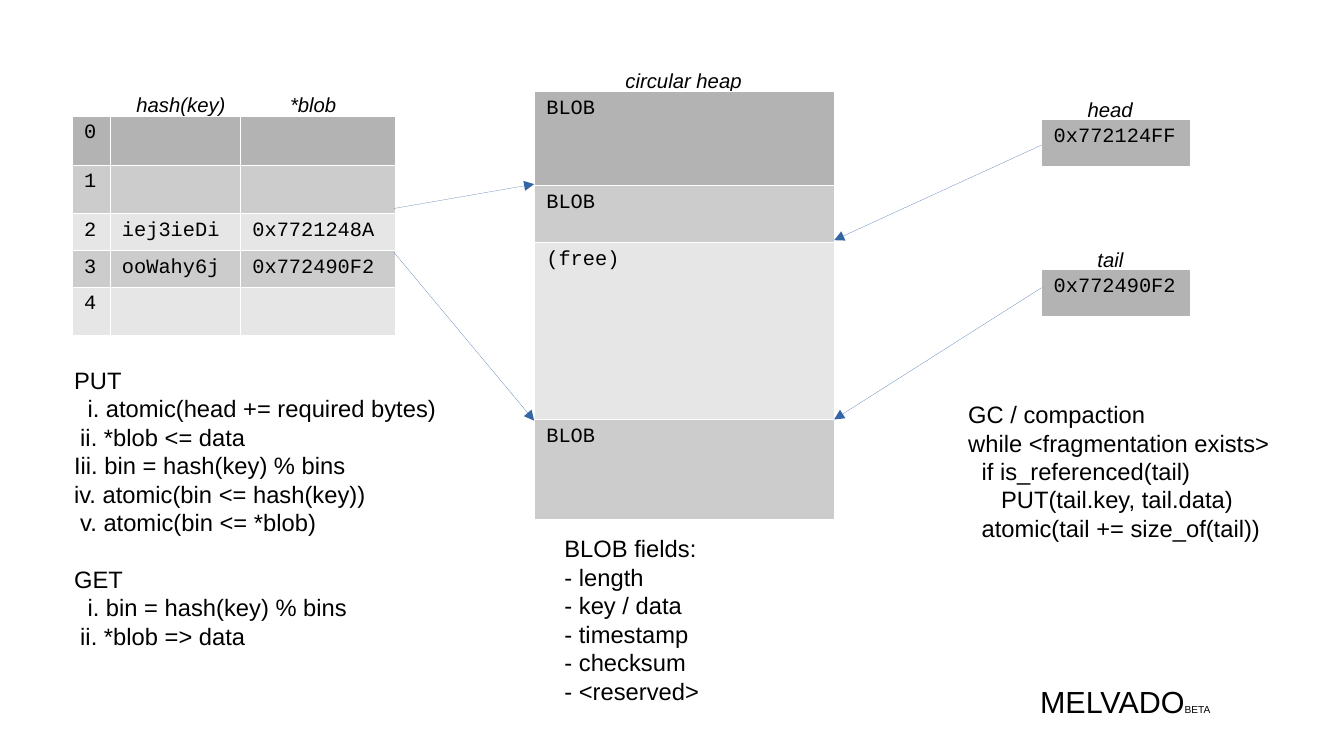
from lxml import etree
from pptx import Presentation
from pptx import util as u
from pptx.dml.color import RGBColor
from pptx.enum import shapes, text
from pptx.oxml.ns import qn

PX = 9144  # EMU in one px, at 100 px to the inch
DARK, MID, PALE = "B3B3B3", "CCCCCC", "E6E6E6"
BLACK, WHITE, BLUE = "000000", "FFFFFF", "3465A4"
HAIR = 720  # EMU


def px(n):
    return u.Emu(n * PX)


def rgb(code):
    return RGBColor.from_string(code)


def add_run(para, words, size, face="Arial", slant=False):
    run = para.add_run()
    run.text = words
    font = run.font
    font.size, font.name = u.Pt(size), face
    font.color.rgb = rgb(BLACK)
    if slant:
        font.italic = True


def add_box(slide, box, wrap):
    frame = slide.shapes.add_textbox(*map(px, box)).text_frame
    frame.word_wrap = wrap
    frame.auto_size = text.MSO_AUTO_SIZE.SHAPE_TO_FIT_TEXT
    return frame


def label(slide, box, words):
    frame = add_box(slide, box, False)
    add_run(frame.paragraphs[0], words, 12, slant=True)


def edge(cell):
    """Draw a white hairline on each side of a cell."""
    props = cell._tc.get_or_add_tcPr()
    for side in ("a:lnL", "a:lnR", "a:lnT", "a:lnB"):
        line = etree.SubElement(props, qn(side), w=str(HAIR))
        fill = etree.SubElement(line, qn("a:solidFill"))
        etree.SubElement(fill, qn("a:srgbClr"), val=WHITE)


def grid(slide, left, top, cols, rows):
    """Each row is (height, fill, words of its cells)."""
    high = sum(row[0] for row in rows)
    table = slide.shapes.add_table(
        len(rows), len(cols), px(left), px(top), px(sum(cols)), px(high)).table
    table.first_row = table.horz_banding = False
    for col, wide in zip(table.columns, cols):
        col.width = px(wide)
    for row, (tall, shade, words) in zip(table.rows, rows):
        row.height = px(tall)
        for cell, word in zip(row.cells, words):
            edge(cell)
            cell.fill.solid()
            cell.fill.fore_color.rgb = rgb(shade)
            if word:
                add_run(cell.text_frame.paragraphs[0], word, 12, "Courier New")


def arrow(slide, start, end):
    line = slide.shapes.add_connector(
        shapes.MSO_CONNECTOR.STRAIGHT, *map(px, start + end))
    line.line.color.rgb = rgb(BLUE)
    stroke = line.line._get_or_add_ln()
    stroke.set("w", "0")  # the width setter drops a zero
    etree.SubElement(stroke, qn("a:tailEnd"), type="triangle")
    etree.SubElement(line._element.spPr, qn("a:effectLst"))


def index(slide, left, top):
    label(slide, (left + 43, top - 24, 93, 29), "hash(key)")
    label(slide, (left + 169, top - 24, 58, 29), "*blob")
    grid(slide, left, top, (31, 107, 127), (
        (38, DARK, ("0", "", "")),
        (38, MID, ("1", "", "")),
        (29, PALE, ("2", "iej3ieDi", "0x7721248A")),
        (29, MID, ("3", "ooWahy6j", "0x772490F2")),
        (38, PALE, ("4", "", ""))))


def heap(slide, left, top):
    label(slide, (left + 65, top - 24, 118, 29), "circular heap")
    grid(slide, left, top, (246,), (
        (77, DARK, ("BLOB",)),
        (47, MID, ("BLOB",)),
        (145, PALE, ("(free)",)),
        (82, MID, ("BLOB",))))


def pointer(slide, left, top, name, wide, value):
    label(slide, (left + (114 - wide) // 2, top - 23, wide, 29), name)
    grid(slide, left, top, (122,), ((38, DARK, (value,)),))


def notes(slide, box, lines, gap=None):
    """Each line is (indent, words); the line numbered gap has space above."""
    frame = add_box(slide, box, True)
    for i, (indent, words) in enumerate(lines):
        para = frame.add_paragraph() if i else frame.paragraphs[0]
        if indent:
            para._p.get_or_add_pPr().set("marL", str(px(indent)))
        if i == gap:
            para.space_before = u.Pt(16.5)
        add_run(para, words, 14)


def title(slide, box):
    para = add_box(slide, box, False).paragraphs[0]
    add_run(para, "MELVADO", 18)
    add_run(para, "BETA", 6)


def main():
    deck = Presentation()
    deck.slide_width, deck.slide_height = px(1102), px(620)
    slide = deck.slides.add_slide(deck.slide_layouts[6])

    index(slide, 59, 95)
    heap(slide, 438, 75)
    pointer(slide, 854, 98, "head", 57, "0x772124FF")
    pointer(slide, 854, 221, "tail", 41, "0x772490F2")
    for start, end in (
            ((323, 171), (438, 151)),
            ((323, 207), (438, 345)),
            ((854, 119), (684, 197)),
            ((854, 236), (684, 344))):
        arrow(slide, start, end)

    notes(slide, (51, 295, 357, 228), (
        (0, "PUT"),
        (11, "i. atomic(head += required bytes)"),
        (5, "ii. *blob <= data"),
        (0, "Iii. bin = hash(key) % bins"),
        (0, "iv. atomic(bin <= hash(key))"),
        (5, "v. atomic(bin <= *blob)"),
        (0, "GET"),
        (11, "i. bin = hash(key) % bins"),
        (5, "ii. *blob => data")), gap=6)
    fields = ("length", "key / data", "timestamp", "checksum", "<reserved>")
    notes(slide, (453, 433, 240, 141),
          [(0, "BLOB fields:")] + [(0, "- " + field) for field in fields])
    notes(slide, (784, 323, 291, 272), (
        (0, "GC / compaction"),
        (0, "while <fragmentation exists>"),
        (11, "if is_referenced(tail)"),
        (27, "PUT(tail.key, tail.data)"),
        (11, "atomic(tail += size_of(tail))")))
    title(slide, (843, 555, 169, 38))
    deck.save("out.pptx")


if __name__ == "__main__":
    main()
